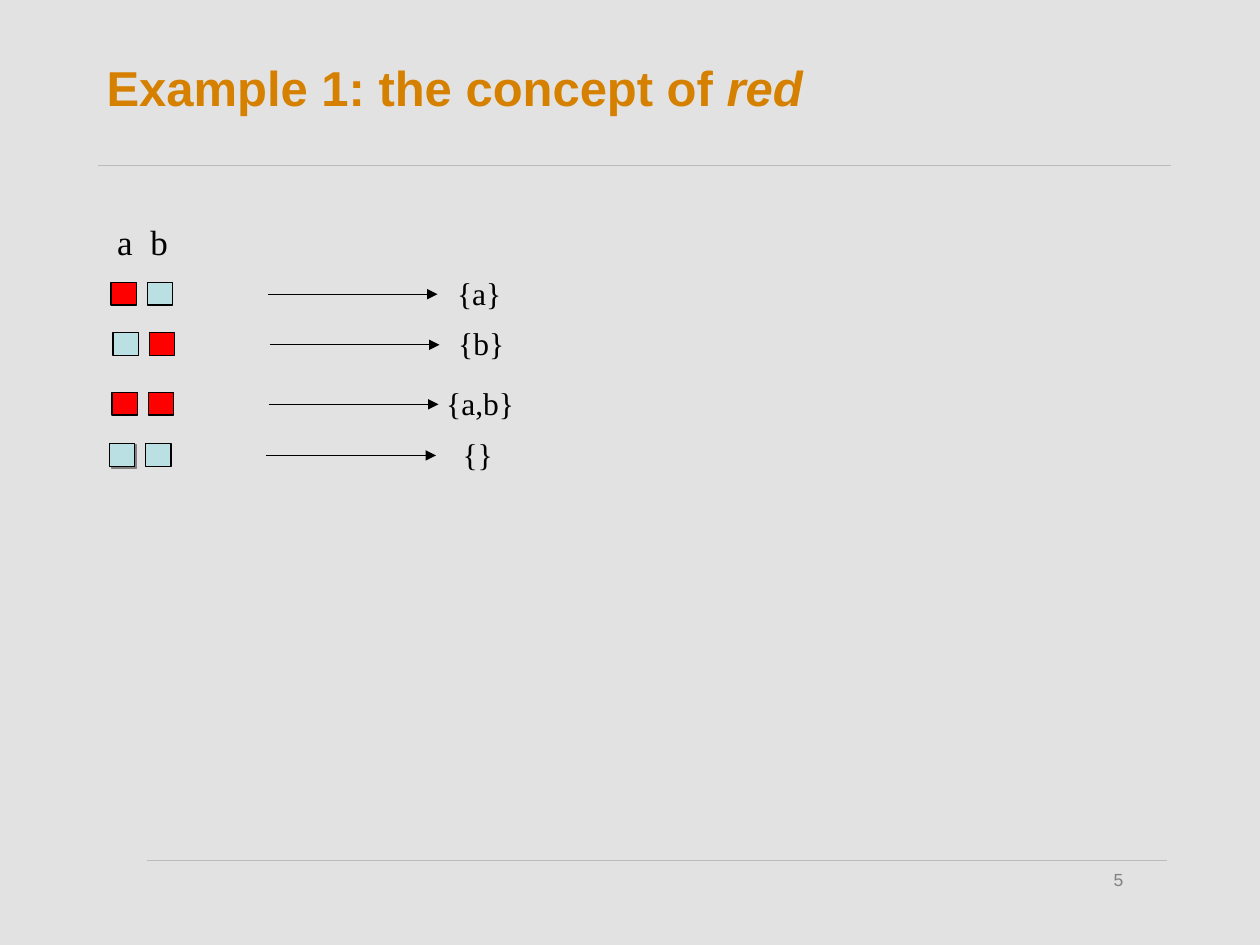
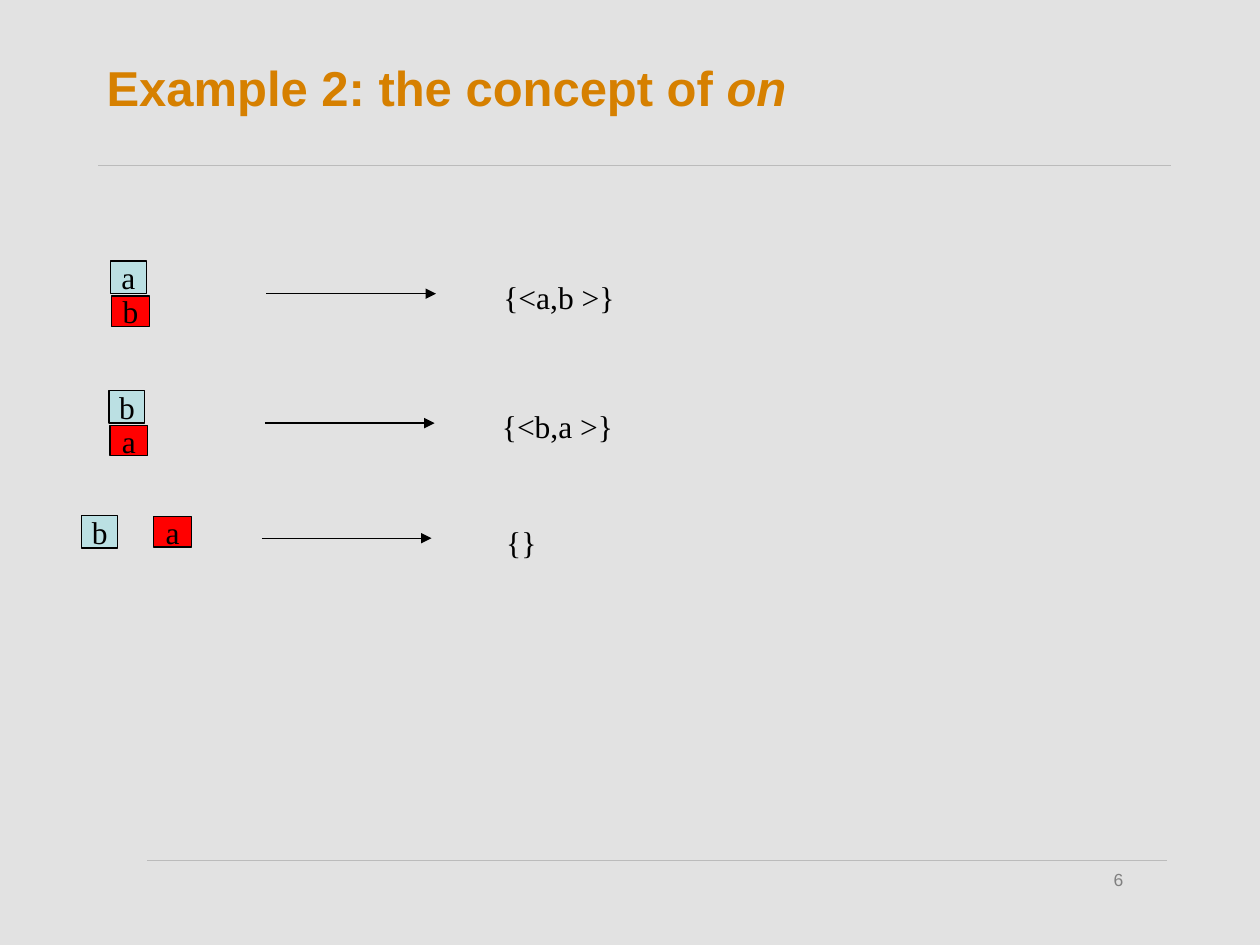
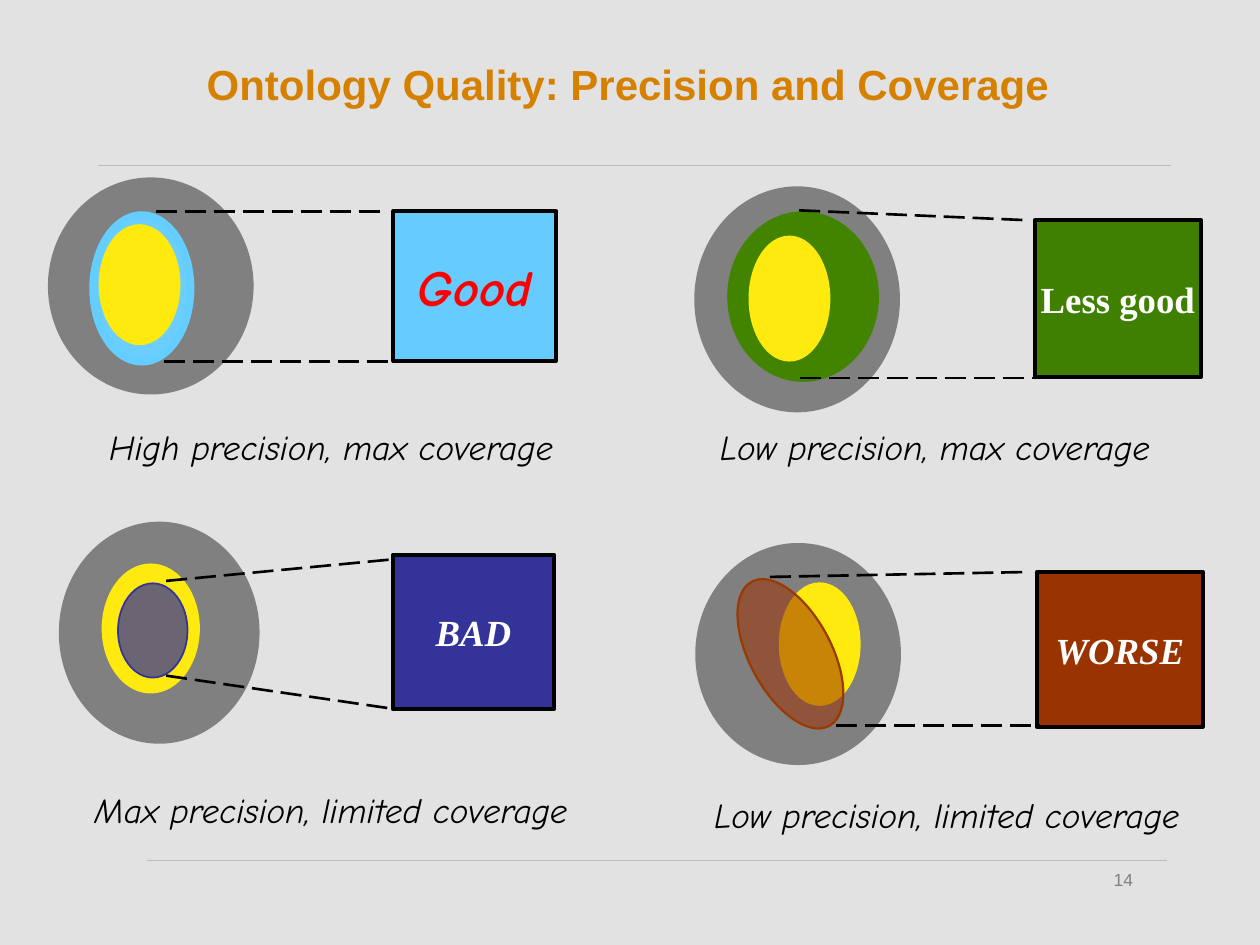
import dataclasses

import lxml.etree
import pptx
import pptx.dml.color
import pptx.enum.dml
import pptx.enum.shapes
import pptx.enum.text
import pptx.oxml.ns
import pptx.util

Cm = pptx.util.Cm
Pt = pptx.util.Pt
RGB = pptx.dml.color.RGBColor
PRESET = pptx.enum.shapes.MSO_SHAPE
ALIGN = pptx.enum.text.PP_ALIGN
qn = pptx.oxml.ns.qn

BACKGROUND = RGB(0xE2, 0xE2, 0xE2)
RULE_GREY = RGB(0xBB, 0xBB, 0xBB)
GREY = RGB(0x80, 0x80, 0x80)
ORANGE = RGB(0xD6, 0x80, 0x00)
BLACK = RGB(0x00, 0x00, 0x00)
WHITE = RGB(0xFF, 0xFF, 0xFF)
RED = RGB(0xFF, 0x00, 0x00)
PALE_BLUE = RGB(0xBB, 0xE0, 0xE3)
YELLOW = RGB(0xFF, 0xEA, 0x0F)
SKY = RGB(0x66, 0xCC, 0xFF)
SKY_MODEL = RGB(0x6B, 0xCE, 0xFF)
SKY_EDGE = RGB(0x63, 0xCE, 0xFF)
GREEN = RGB(0x40, 0x80, 0x00)
GREEN_MODEL = RGB(0x42, 0x84, 0x00)
NAVY = RGB(0x33, 0x33, 0x99)
RUST = RGB(0x99, 0x33, 0x00)
RUST_MODEL = RGB(0x9C, 0x31, 0x00)
RUST_EDGE = RGB(0x9C, 0x39, 0x00)

SANS = "Arial"
SERIF = "Times New Roman"
COMIC = "Comic Neue"

ARROW_LENGTH = 3.42


@dataclasses.dataclass
class Style:
    """Look of a run of text."""
    font: str
    size: float
    color: RGB
    bold: bool = False
    italic: bool = False


@dataclasses.dataclass
class Oval:
    """Ellipse of a quality panel, measured from the panel's corner."""
    box: tuple
    fill: RGB
    edge: RGB = None
    edge_width: float = 0
    opacity: int = 100
    rotation: float = 0


TITLE = Style(SANS, 28, ORANGE, bold=True)
TITLE_ITALIC = dataclasses.replace(TITLE, italic=True)
SMALL_TITLE = dataclasses.replace(TITLE, size=24)
PAGE_NUMBER = Style(SANS, 10, GREY)
SYMBOL = Style(SERIF, 18, BLACK)
COLUMN_HEADS = Style(SERIF, 20, BLACK)
CAPTION = Style(COMIC, 20, BLACK, italic=True)
GOOD = Style(COMIC, 29, RED, bold=True, italic=True)
LESS_GOOD = Style(SERIF, 21, WHITE, bold=True)
BAD = dataclasses.replace(LESS_GOOD, italic=True)


def lengths(values):
    """Turn centimetres into slide lengths."""
    return [Cm(value) for value in values]


def style_run(run, style):
    """Apply a style to one run."""
    run.font.name, run.font.size = style.font, Pt(style.size)
    run.font.bold, run.font.italic = style.bold, style.italic
    run.font.color.rgb = style.color


def add_text(slide, box, pieces, align=ALIGN.LEFT, middle=False):
    """Add a text box made of (text, style) pieces."""
    frame = slide.shapes.add_textbox(*lengths(box)).text_frame
    frame.word_wrap = True
    if middle:
        frame.vertical_anchor = pptx.enum.text.MSO_ANCHOR.MIDDLE
    paragraph = frame.paragraphs[0]
    paragraph.alignment = align
    for text, style in pieces:
        run = paragraph.add_run()
        run.text = text
        style_run(run, style)
    return paragraph


def add_line(slide, start, end, color=BLACK, width=0.75, dashed=False, arrow=False):
    """Draw a straight line, dashed or with an arrowhead if asked."""
    line = slide.shapes.add_connector(
        pptx.enum.shapes.MSO_CONNECTOR.STRAIGHT, *lengths((*start, *end)))
    line.line.color.rgb, line.line.width = color, Pt(width)
    if dashed:
        line.line.dash_style = pptx.enum.dml.MSO_LINE.LONG_DASH
    properties = line._element.spPr
    if arrow:
        lxml.etree.SubElement(properties.find(qn("a:ln")), qn("a:tailEnd"), type="triangle")
    lxml.etree.SubElement(properties, qn("a:effectLst"))


def add_figure(slide, preset, box, fill, edge=None, edge_width=0.75, text="", style=SYMBOL):
    """Add a filled preset shape with optional outline and centred text."""
    figure = slide.shapes.add_shape(preset, *lengths(box))
    figure.shadow.inherit = False
    figure.fill.solid()
    figure.fill.fore_color.rgb = fill
    if edge is None:
        figure.line.fill.background()
    else:
        figure.line.color.rgb, figure.line.width = edge, Pt(edge_width)
    if text:
        frame = figure.text_frame
        frame.word_wrap = False
        frame.vertical_anchor = pptx.enum.text.MSO_ANCHOR.MIDDLE
        frame.text = text
        frame.paragraphs[0].alignment = ALIGN.CENTER
        style_run(frame.paragraphs[0].runs[0], style)
    return figure


def add_drop_shadow(square):
    """Give a square a small hard grey shadow."""
    effects = square._element.spPr.find(qn("a:effectLst"))
    shadow = lxml.etree.SubElement(
        effects, qn("a:outerShdw"), dist=str(Pt(1.4)), dir="2700000", algn="ctr", rotWithShape="0")
    lxml.etree.SubElement(shadow, qn("a:srgbClr"), val=str(GREY))


def base_slide(deck, number, pieces, title_box=(1.9, 0.18, 21.6, 3.16), align=ALIGN.LEFT):
    """Start a slide with background, rules, page number and title."""
    slide = deck.slides.add_slide(deck.slide_layouts[6])
    slide.background.fill.solid()
    slide.background.fill.fore_color.rgb = BACKGROUND
    add_line(slide, (2.97, 17.34), (23.52, 17.34), RULE_GREY, 0.25)
    add_line(slide, (1.98, 3.33), (23.6, 3.33), RULE_GREY, 0.25)
    add_text(slide, (22.2, 17.4, 2.1, 0.68), [(str(number), PAGE_NUMBER)])
    add_text(slide, title_box, pieces, align, middle=True)
    return slide


def add_mapping(slide, left, middle, result, centre, rise, width):
    """Draw an arrow and the set it leads to, centred at a distance from its start."""
    add_line(slide, (left, middle), (left + ARROW_LENGTH, middle), arrow=True)
    add_text(slide, (left + centre - width / 2, middle - rise, width, 1.02),
             [(result, SYMBOL)], ALIGN.CENTER)


def color_row(slide, left, top, colors, result):
    """Place squares a and b and the set of red ones."""
    squares = [add_figure(slide, PRESET.RECTANGLE, (left + 0.73 * column, top, 0.51, 0.46), color, BLACK)
               for column, color in enumerate(colors)]
    add_mapping(slide, left + 3.16, top + 0.24, result, 4.26, 0.54, 1.9)
    return squares


def block_row(slide, left, top, blue, red, red_offset, arrow_offset, result, centre):
    """Place a blue and a red block and the pairs that stand on each other."""
    add_figure(slide, PRESET.RECTANGLE, (left + red_offset[0], top + red_offset[1], 0.76, 0.61),
               RED, BLACK, text=red)
    add_figure(slide, PRESET.RECTANGLE, (left, top, 0.72, 0.66), PALE_BLUE, BLACK, text=blue)
    add_mapping(slide, left + arrow_offset[0], top + arrow_offset[1], result, centre, 0.44, 3.5)


def quality_panel(slide, left, top, ovals, verdict_box, verdict, color, style, lines, caption_box, caption):
    """Draw nested ovals, the verdict box they zoom into and a caption."""
    def shifted(box):
        """Move a box or point from panel to slide position."""
        return (left + box[0], top + box[1], *box[2:])

    for oval in ovals:
        ellipse = add_figure(slide, PRESET.OVAL, shifted(oval.box), oval.fill, oval.edge, oval.edge_width)
        ellipse.rotation = oval.rotation
        if oval.opacity < 100:
            tint = ellipse._element.spPr.find(qn("a:solidFill"))[0]
            lxml.etree.SubElement(tint, qn("a:alpha"), val=str(oval.opacity * 1000))
    add_figure(slide, PRESET.RECTANGLE, shifted(verdict_box), color, BLACK, 2.25, verdict, style)
    for start, end in lines:
        add_line(slide, shifted(start), shifted(end), width=1.5, dashed=True)
    add_text(slide, shifted(caption_box), [(caption, CAPTION)], ALIGN.CENTER)


def field(width, height):
    """Return the grey oval that fills the corner of a panel."""
    return Oval((0, 0, width, height), GREY, GREY, 3)


def red_slide(deck):
    """Build the example about the concept of red."""
    slide = base_slide(deck, 5, [("Example 1: the concept of ", TITLE), ("red", TITLE_ITALIC)])
    heads = add_text(slide, (2.11, 4.32, 1.7, 1.12), [("a\tb", COLUMN_HEADS)])
    stops = lxml.etree.SubElement(heads._p.get_or_add_pPr(), qn("a:tabLst"))
    lxml.etree.SubElement(stops, qn("a:tab"), pos=str(Cm(0.67)), algn="l")
    rows = [
        (2.24, 5.69, (RED, PALE_BLUE), "{a}"),
        (2.28, 6.71, (PALE_BLUE, RED), "{b}"),
        (2.26, 7.91, (RED, RED), "{a,b}"),
        (2.21, 8.94, (PALE_BLUE, PALE_BLUE), "{}"),
    ]
    for row in rows:
        squares = color_row(slide, *row)
    add_drop_shadow(squares[0])


def on_slide(deck):
    """Build the example about the concept of on."""
    slide = base_slide(deck, 6, [("Example 2: the concept of ", TITLE), ("on", TITLE_ITALIC)])
    stacked = ((0.02, 0.71), (3.14, 0.66))
    apart = ((1.45, 0.03), (3.63, 0.46))
    block_row(slide, 2.23, 5.26, "a", "b", *stacked, "{<a,b >}", 5.9)
    block_row(slide, 2.2, 7.87, "b", "a", *stacked, "{<b,a >}", 5.9)
    block_row(slide, 1.65, 10.39, "b", "a", *apart, "{}", 5.23)


def quality_slide(deck):
    """Build the four panels on precision and coverage."""
    slide = base_slide(deck, 14, [("Ontology Quality: Precision and Coverage", SMALL_TITLE)],
                       (0.94, 0.64, 23.44, 2.11), ALIGN.CENTER)
    quality_panel(
        slide, 1.02, 3.63,
        [field(4.04, 4.27),
         Oval((0.86, 0.71, 1.96, 2.95), SKY_MODEL, SKY_EDGE, 4.5),
         Oval((0.97, 0.89, 1.65, 2.44), YELLOW)],
        (6.91, 0.63, 3.28, 3.02), "Good", SKY, GOOD,
        [((2.13, 0.63), (6.78, 0.63)), ((2.29, 3.66), (6.91, 3.66))],
        (0.58, 4.83, 10.16, 1.12), "High precision, max coverage")
    quality_panel(
        slide, 14.05, 3.81,
        [field(4.04, 4.45),
         Oval((0.69, 0.53, 2.9, 3.28), GREEN_MODEL, GREEN_MODEL, 4.5),
         Oval((1.04, 0.94, 1.65, 2.54), YELLOW)],
        (6.81, 0.63, 3.35, 3.17), "Less good", GREEN, LESS_GOOD,
        [((2.06, 0.43), (6.68, 0.63)), ((2.08, 3.81), (6.81, 3.81))],
        (-0.28, 4.65, 10.16, 1.12), "Low precision, max coverage")
    quality_panel(
        slide, 1.24, 10.57,
        [field(3.94, 4.37),
         Oval((0.81, 0.79, 1.98, 2.62), YELLOW),
         Oval((1.14, 1.19, 1.4, 1.9), NAVY, NAVY, 1, opacity=73)],
        (6.68, 0.61, 3.25, 3.12), "BAD", NAVY, BAD,
        [((2.11, 1.14), (6.63, 0.71)), ((2.11, 3.05), (6.76, 3.73))],
        (-0.23, 5.21, 11.33, 1.12), "Max precision, limited coverage")
    quality_panel(
        slide, 14.07, 11,
        [field(4.04, 4.37),
         Oval((1.63, 0.74, 1.65, 2.49), YELLOW),
         Oval((1.04, 0.53, 1.65, 3.3), RUST_MODEL, RUST_EDGE, 1.25, opacity=55, rotation=331.8)],
        (6.83, 0.53, 3.35, 3.12), "WORSE", RUST, BAD,
        [((1.45, 0.63), (6.68, 0.53)), ((2.79, 3.63), (6.88, 3.63))],
        (-1.24, 4.88, 12.52, 1.12), "Low precision, limited coverage")


def main():
    """Build and save the deck."""
    deck = pptx.Presentation()
    deck.slide_width, deck.slide_height = Cm(25.4), Cm(19.05)
    red_slide(deck)
    on_slide(deck)
    quality_slide(deck)
    deck.save("out.pptx")


if __name__ == "__main__":
    main()
